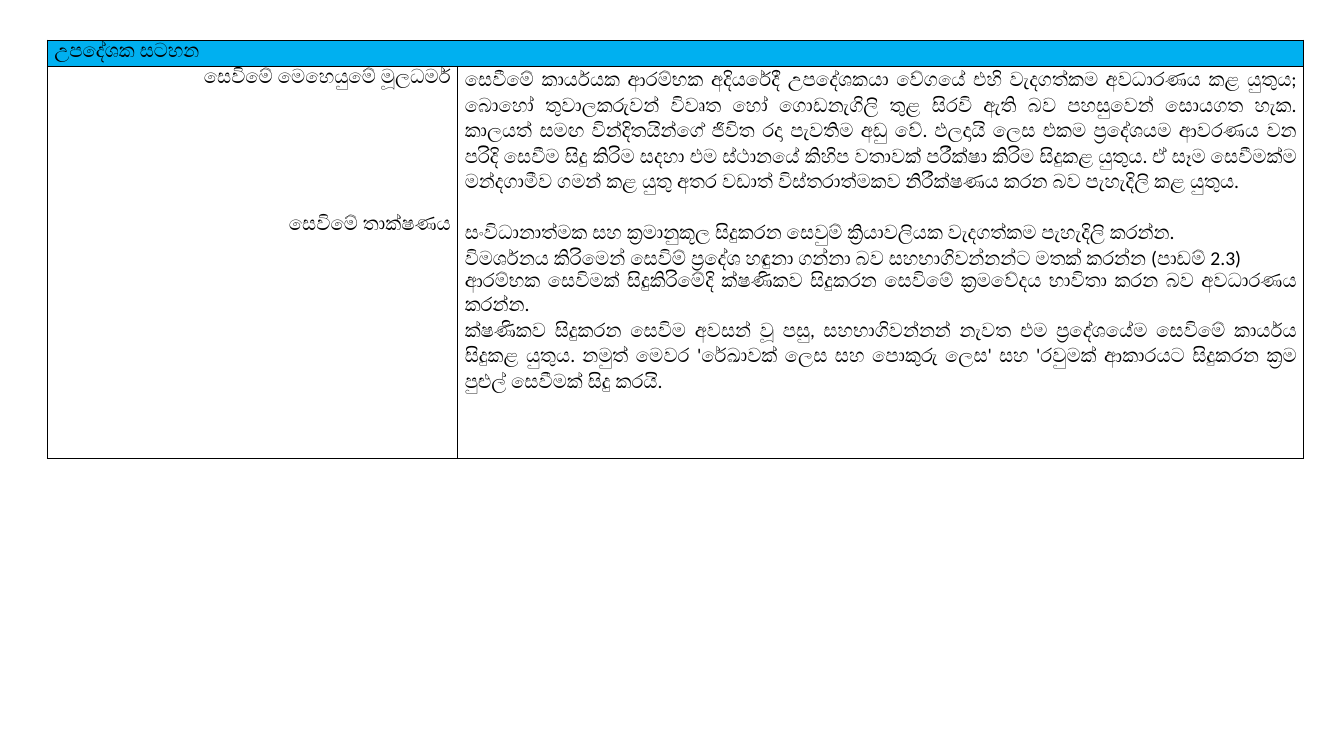
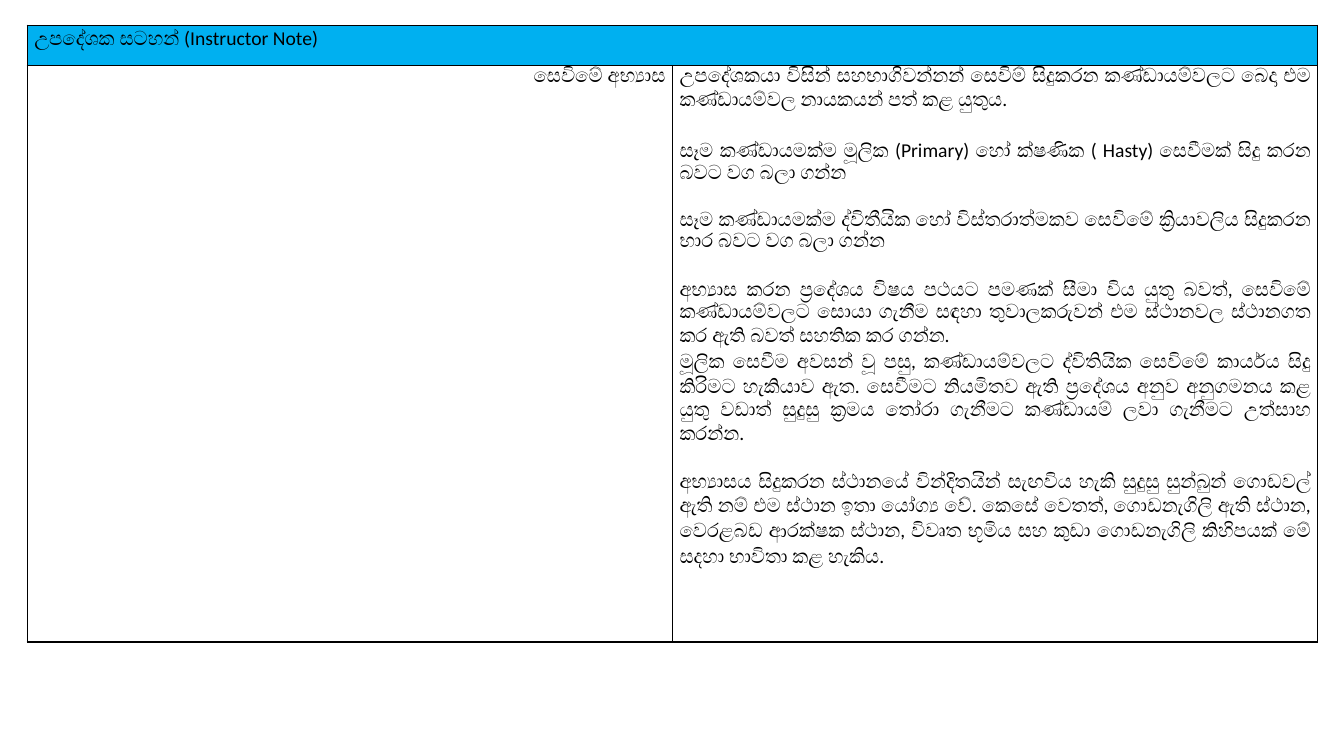
from lxml import etree
from pptx import Presentation
from pptx.dml.color import RGBColor
from pptx.enum.text import PP_ALIGN
from pptx.oxml.ns import qn
from pptx.util import Inches, Pt

LEFT, RIGHT, JUSTIFY = PP_ALIGN.LEFT, PP_ALIGN.RIGHT, PP_ALIGN.JUSTIFY
BLACK = RGBColor(0x00, 0x00, 0x00)
BAND_BLUE = RGBColor(0x00, 0xB0, 0xF0)
FONT, TEXT_SIZE, LINE_SPACING = "Calibri", Pt(14), 1.07
SIDE_MARGIN, BORDER_WIDTH = Inches(0.07), Pt(1)
GAP = 18  # points, one line of text

# Sinhala letter pairs that are drawn joined, as (first, second).
JOINER = chr(0x200D)
CONJUNCTS = [("ක්", "ර"), ("ප්", "ර"), ("භ්", "ය"), ("ග්", "ය")]

# Each paragraph is (space before in points, text).
NOTES = [
    {
        "corner": (0.47, 0.4), "columns": (4.07, 8.39), "rows": (0.26, 3.89),
        "title": "උපදේශක සටහන",
        "topics": [
            (0, "සෙවිමේ මෙහෙයුමේ මූලධර්ම"),
            (5 * GAP, "සෙවිමේ තාක්ෂණය"),
        ],
        "guidance": [
            (0, "සෙවීමේ කාර්යයක ආරම්භක අදියරේදී උපදේශකයා වේගයේ එහි වැදගත්කම අවධාරණය කළ යුතුය; "
                "බොහෝ තුවාලකරුවන් විවෘත හෝ ගොඩනැගිලි තුළ සිරවි ඇති බව පහසුවෙන් සොයගත හැක. "
                "කාලයත් සමඟ වින්දිතයින්ගේ ජිවිත රදා පැවතිම අඩු වේ. ඵලදායි ලෙස එකම ප්රදේශයම ආවරණය වන "
                "පරිදි සෙවීම සිදු කිරිම සදහා එම ස්ථානයේ කිහිප වතාවක් පරීක්ෂා කිරිම සිදුකළ යුතුය. "
                "ඒ සෑම සෙවීමක්ම මන්දගාමීව ගමන් කළ යුතු අතර වඩාත් විස්තරාත්මකව නිරීක්ෂණය කරන බව "
                "පැහැදිලි කළ යුතුය."),
            (GAP, "සංවිධානාත්මක සහ ක්රමානුකූල සිදුකරන සෙවුම් ක්රියාවලියක වැදගත්කම පැහැදිලි කරන්න."),
            (0, "විමර්ශනය කිරිමෙන් සෙවිම් ප්රදේශ හඳුනා ගන්නා බව සහභාගිවන්නන්ට මතක් කරන්න (පාඩම් 2.3)"),
            (0, "ආරම්භක සෙවිමක් සිදුකිරිමේදි ක්ෂණිකව සිදුකරන සෙවිමේ ක්රමවේදය භාවිතා කරන බව "
                "අවධාරණය කරන්න."),
            (0, "ක්ෂණිකව සිදුකරන සෙවිම අවසන් වූ පසු, සහභාගිවන්නන් නැවත එම ප්රදේශයේම සෙවිමේ කාර්යය "
                "සිදුකළ යුතුය. නමුත් මෙවර 'රේඛාවක් ලෙස සහ පොකුරු ලෙස' සහ 'රවුමක් ආකාරයට සිදුකරන ක්රම "
                "පුළුල් සෙවීමක් සිදු කරයි."),
        ],
    },
    {
        "corner": (0.27, 0.25), "columns": (6.4, 6.4), "rows": (0.4, 5.72),
        "title": "උපදේශක සටහන් (Instructor Note)",
        "topics": [(0, "සෙවිමේ අභ්යාස")],
        "guidance": [
            (0, "උපදේශකයා විසින් සහභාගිවන්නන් සෙවිම් සිදුකරන කණ්ඩායම්වලට බෙදා එම කණ්ඩායම්වල "
                "නායකයන් පත් කළ යුතුය."),
            (GAP, "සෑම කණ්ඩායමක්ම මූලික (Primary) හෝ ක්ෂණික ( Hasty) සෙවීමක් සිදු කරන බවට වග බලා ගන්න"),
            (GAP, "සෑම කණ්ඩායමක්ම ද්විතීයික හෝ විස්තරාත්මකව සෙවිමේ ක්රියාවලිය සිදුකරන "
                  "භාර බවට වග බලා ගන්න"),
            (GAP, "අභ්යාස කරන ප්රදේශය විෂය පථයට පමණක් සීමා විය යුතු බවත්, සෙවිමේ කණ්ඩායම්වලට "
                  "සොයා ගැනීම සඳහා තුවාලකරුවන් එම ස්ථානවල ස්ථානගත කර ඇති බවත් සහතික කර ගන්න."),
            (0, "මූලික සෙවීම අවසන් වූ පසු, කණ්ඩායම්වලට ද්විතියික සෙවිමේ කාර්යය සිදු කිරිමට හැකියාව ඇත. "
                "සෙවීමට නියමිතව ඇති ප්රදේශය අනුව අනුගමනය කළ යුතු වඩාත් සුදුසු ක්රමය තෝරා ගැනීමට "
                "කණ්ඩායම් ලවා ගැනීමට උත්සාහ කරන්න."),
            (GAP, "අභ්යාසය සිදුකරන ස්ථානයේ වින්දිතයින් සැඟවිය හැකි සුදුසු සුන්බුන් ගොඩවල් ඇති නම් "
                  "එම ස්ථාන ඉතා යෝග්ය වේ. කෙසේ වෙතත්, ගොඩනැගිලි ඇති ස්ථාන, වෙරළබඩ ආරක්ෂක ස්ථාන, "
                  "විවෘත භූමිය සහ කුඩා ගොඩනැගිලි කිහිපයක් මේ සදහා භාවිතා කළ හැකිය."),
        ],
    },
]


def join_conjuncts(text):
    for first, second in CONJUNCTS:
        text = text.replace(first + second, first + JOINER + second)
    return text


def add_borders(cell):
    properties = cell._tc.get_or_add_tcPr()
    for side in ("lnL", "lnR", "lnT", "lnB"):
        line = etree.SubElement(properties, qn(f"a:{side}"), w=str(BORDER_WIDTH))
        fill = etree.SubElement(line, qn("a:solidFill"))
        etree.SubElement(fill, qn("a:srgbClr"), val=str(BLACK))


def write_cell(cell, paragraphs, alignment):
    cell.margin_left = cell.margin_right = SIDE_MARGIN
    cell.margin_top = cell.margin_bottom = 0
    frame = cell.text_frame
    frame.text = "\n".join(join_conjuncts(text) for _, text in paragraphs)
    for para, (space, _) in zip(frame.paragraphs, paragraphs):
        para.alignment = alignment
        para.line_spacing = LINE_SPACING
        para.space_before = Pt(space)
        for span in para.runs:
            span.font.name = FONT
            span.font.size = TEXT_SIZE
            span.font.color.rgb = BLACK


def add_note(slide, note):
    columns, rows = note["columns"], note["rows"]
    box = (*note["corner"], sum(columns), sum(rows))
    table = slide.shapes.add_table(len(rows), len(columns), *map(Inches, box)).table
    table.first_row = table.horz_banding = False
    for column, width in zip(table.columns, columns):
        column.width = Inches(width)
    for row, height in zip(table.rows, rows):
        row.height = Inches(height)
    for cell in table.iter_cells():
        add_borders(cell)
        cell.fill.background()

    title = table.cell(0, 0)
    title.merge(table.cell(0, 1))
    title.fill.solid()
    title.fill.fore_color.rgb = BAND_BLUE
    write_cell(title, [(0, note["title"])], LEFT)
    write_cell(table.cell(1, 0), note["topics"], RIGHT)
    write_cell(table.cell(1, 1), note["guidance"], JUSTIFY)


def main():
    deck = Presentation()
    deck.slide_width, deck.slide_height = Inches(13.33), Inches(7.5)
    blank = deck.slide_layouts[6]
    for note in NOTES:
        add_note(deck.slides.add_slide(blank), note)
    deck.save("out.pptx")


if __name__ == "__main__":
    main()
